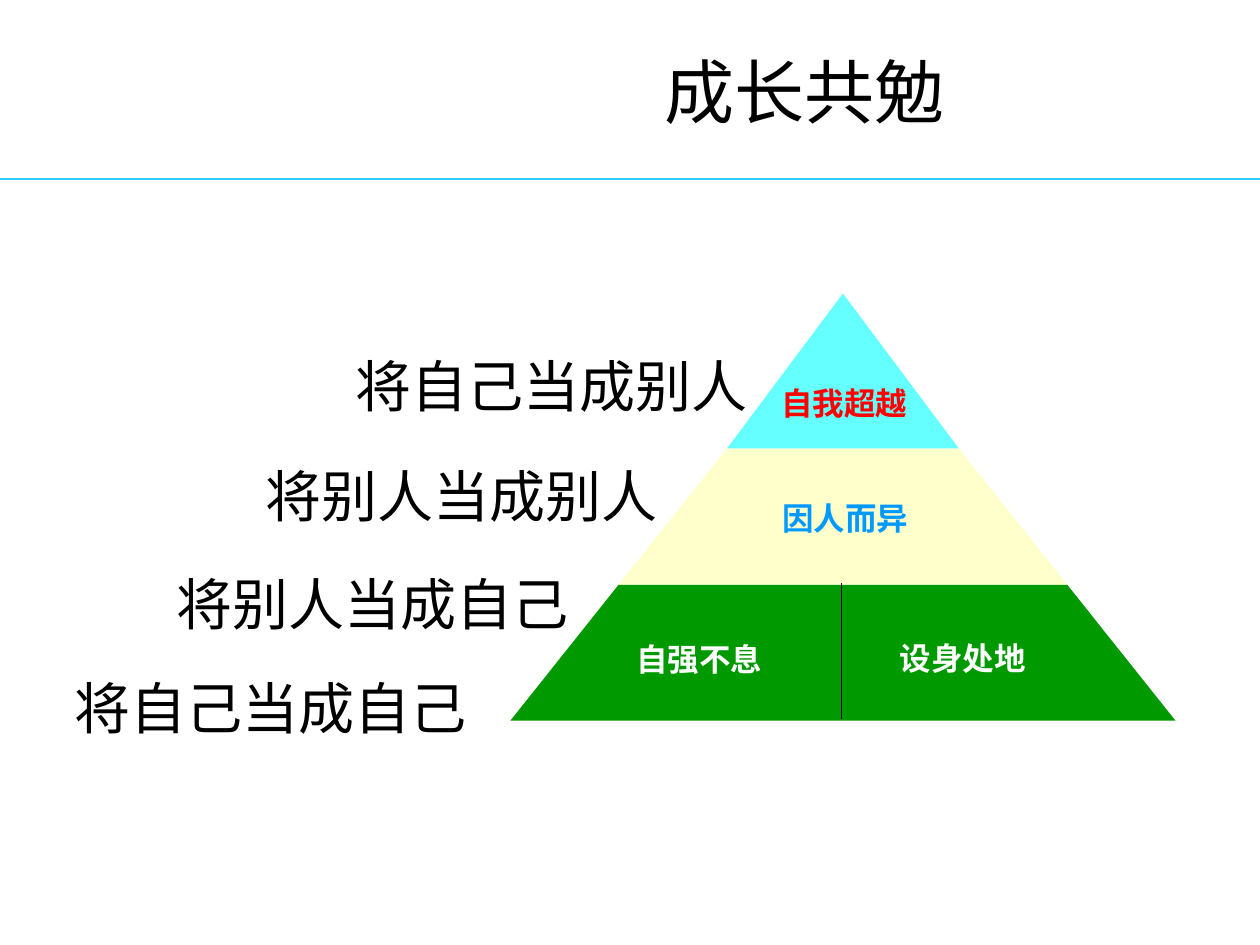
from lxml import etree
from pptx import Presentation
from pptx import util as u
from pptx.dml.color import RGBColor
from pptx.enum import shapes, text
from pptx.oxml.ns import qn

BODY_FONT = "Noto Sans CJK SC"
LABEL_FONT = "Montserrat"

TIERS = [
    ("009900", [(9.33, 5.72), (8.47, 4.64), (4.91, 4.64), (4.05, 5.72)]),
    ("FFFFCC", [(8.47, 4.64), (7.61, 3.56), (5.77, 3.56), (4.91, 4.64)]),
    ("66FFFF", [(7.61, 3.56), (6.69, 2.33), (5.77, 3.56)]),
]
LABELS = [
    ("自强不息", 4.95, 5.03, "FFFFFF"),
    ("设身处地", 7.04, 5.02, "FFFFFF"),
    ("因人而异", 6.11, 3.91, "0099FF"),
    ("自我超越", 6.1, 3, "FF0000"),
]
MOTTOS = [
    ("将自己当成自己", 0.59, 5.26),
    ("将别人当成自己", 1.4, 4.44),
    ("将别人当成别人", 2.11, 3.58),
    ("将自己当成别人", 2.82, 2.71),
]


def color(value):
    """Return the colour for a hex string."""
    return RGBColor.from_string(value)


def write(shape, content, size, font, fill, bold=False, align=text.PP_ALIGN.CENTER):
    """Put one formatted, vertically centred line of text into a shape."""
    frame = shape.text_frame
    frame.text = content
    frame.vertical_anchor = text.MSO_ANCHOR.MIDDLE
    frame.margin_left = frame.margin_right = 0
    frame.margin_top = frame.margin_bottom = 0
    paragraph = frame.paragraphs[0]
    paragraph.alignment = align
    for run in paragraph.runs:
        run.font.size = u.Pt(size)
        run.font.bold = bold
        run.font.name = font
        run.font.color.rgb = color(fill)
        east_asian = etree.SubElement(run.font._element, qn("a:ea"))
        east_asian.set("typeface", font)
    return frame


def add_title(slide, content):
    """Move and fill the title placeholder."""
    title = slide.shapes.title
    title.left, title.top = u.Inches(2.82), u.Inches(0.21)
    title.width, title.height = u.Inches(7.13), u.Inches(1.01)
    write(title, content, 40, BODY_FONT, "000000")


def add_line(slide, start, end, stroke, width):
    """Draw a straight line without a shadow."""
    points = [u.Inches(value) for value in (*start, *end)]
    line = slide.shapes.add_connector(shapes.MSO_CONNECTOR.STRAIGHT, *points)
    line.line.color.rgb = color(stroke)
    line.line.width = u.Pt(width)
    etree.SubElement(line._element.spPr, qn("a:effectLst"))


def add_tier(slide, fill, corners):
    """Draw one filled tier of the pyramid."""
    points = [(u.Inches(x), u.Inches(y)) for x, y in corners]
    builder = slide.shapes.build_freeform(*points[0])
    builder.add_line_segments(points[1:], close=True)
    tier = builder.convert_to_shape()
    tier.shadow.inherit = False
    tier.fill.solid()
    tier.fill.fore_color.rgb = color(fill)
    tier.line.fill.background()


def add_label(slide, content, left, top, fill):
    """Add a bold label on a pyramid tier."""
    box = slide.shapes.add_textbox(
        u.Inches(left), u.Inches(top), u.Inches(1.2), u.Inches(0.4))
    write(box, content, 18, LABEL_FONT, fill, bold=True).word_wrap = True


def add_motto(slide, content, left, top):
    """Add a large motto beside the pyramid."""
    box = slide.shapes.add_textbox(
        u.Inches(left), u.Inches(top), u.Inches(3.27), u.Inches(0.7))
    frame = write(box, content, 32, BODY_FONT, "000000", align=text.PP_ALIGN.LEFT)
    frame.word_wrap = True


def main():
    """Build and save the slide."""
    presentation = Presentation()
    presentation.slide_width = u.Inches(10)
    presentation.slide_height = u.Inches(7.5)
    slide = presentation.slides.add_slide(presentation.slide_layouts[5])
    add_line(slide, (0, 1.42), (10, 1.42), "33CCFF", 1.5)
    add_title(slide, "成长共勉")
    for tier in TIERS:
        add_tier(slide, *tier)
    add_line(slide, (6.68, 4.63), (6.68, 5.71), "000000", 0.75)
    for label in LABELS:
        add_label(slide, *label)
    for motto in MOTTOS:
        add_motto(slide, *motto)
    presentation.save("out.pptx")


if __name__ == "__main__":
    main()
